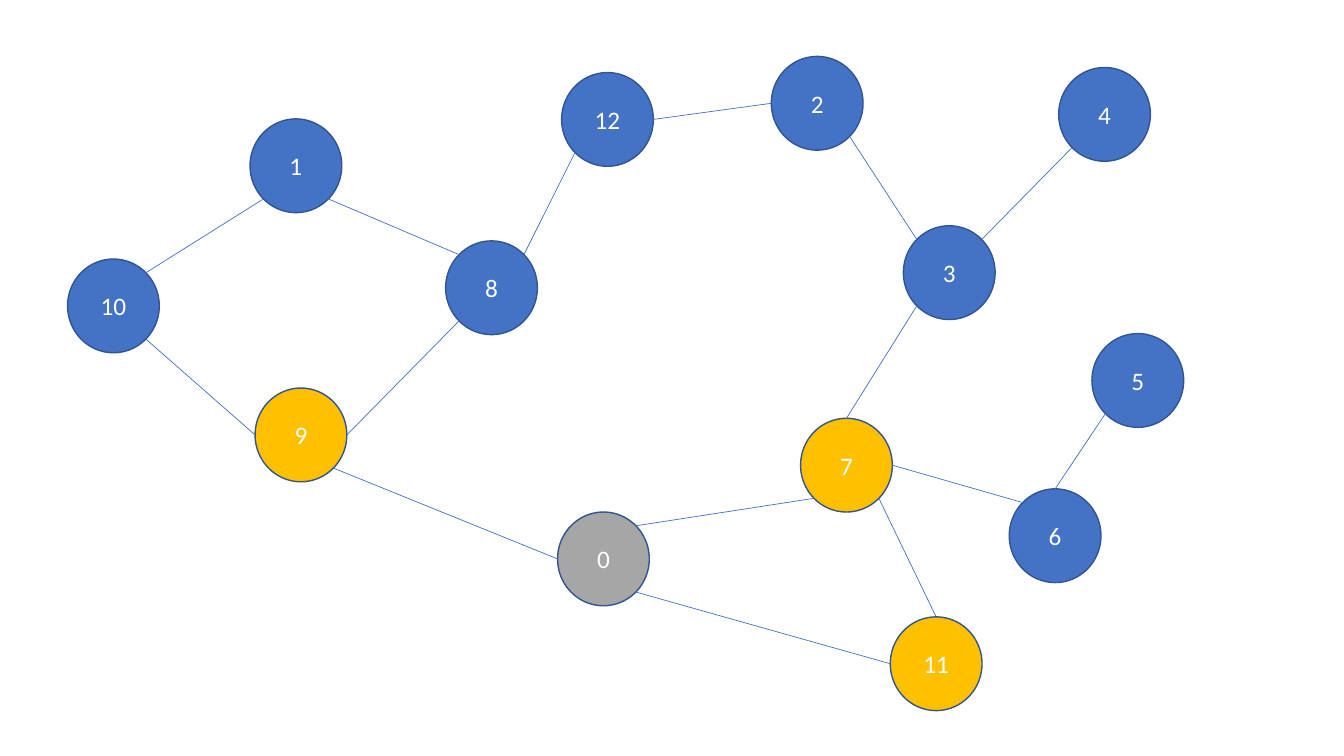
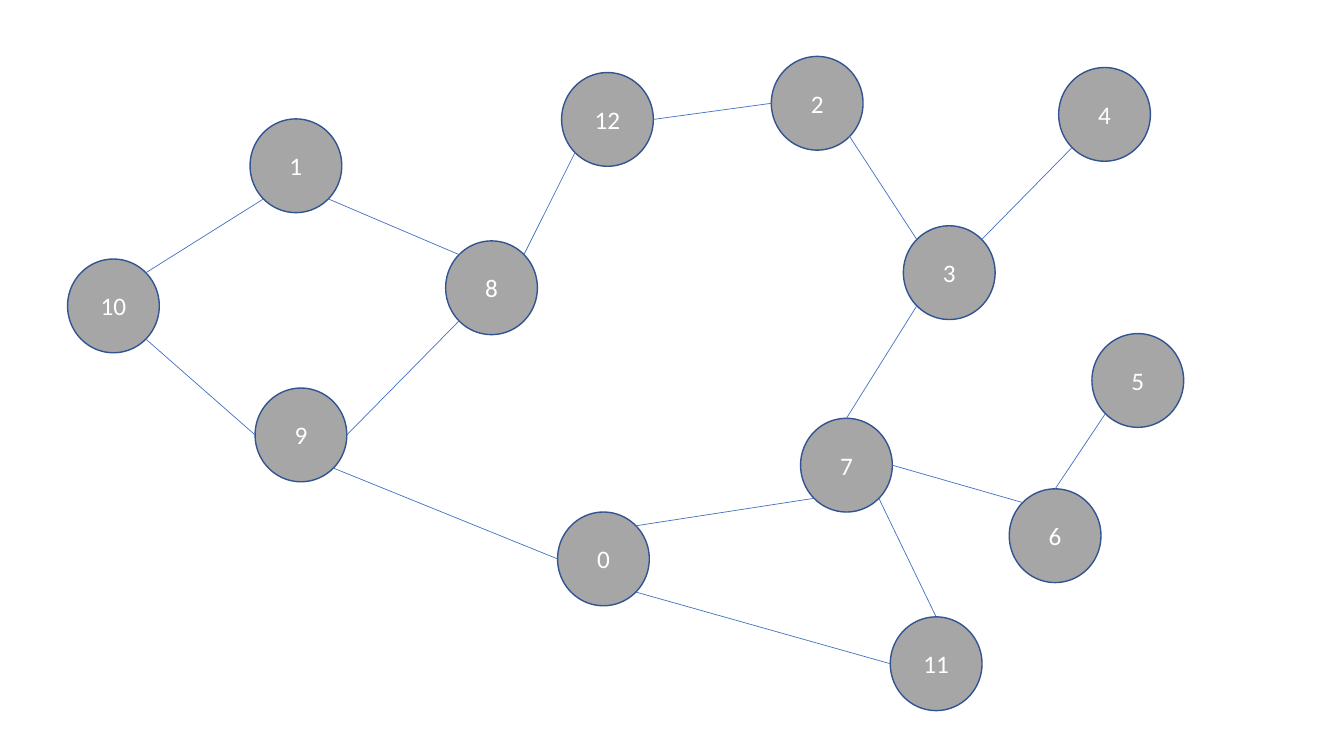
from math import cos, pi, sin

from lxml.etree import SubElement
from pptx import Presentation
from pptx.dml.color import RGBColor
from pptx.enum.shapes import MSO_CONNECTOR, MSO_SHAPE
from pptx.enum.text import MSO_ANCHOR, PP_ALIGN
from pptx.oxml.ns import qn
from pptx.util import Inches, Pt

COLORS = {"unvisited": "4472C4", "queued": "FFC000", "visited": "A6A6A6",
          "outline": "325491", "edge": "4472C4", "label": "FFFFFF"}
FONT = "Calibri"
NODE_W, NODE_H = 0.91, 0.93

NODES = {
    0: (5.53, 5.08), 1: (2.48, 1.18), 2: (7.65, 0.56), 3: (8.96, 2.24),
    4: (10.5, 0.67), 5: (10.83, 3.31), 6: (10.01, 4.85), 7: (7.94, 4.15),
    8: (4.42, 2.39), 9: (2.53, 3.85), 10: (0.67, 2.57), 11: (8.83, 6.12),
    12: (5.57, 0.72),
}
SITES = ["top", "top left", "left", "bottom left",
         "bottom", "bottom right", "right", "top right"]
EDGES = [
    (1, "bottom left", 10, "top right"),
    (9, "bottom right", 0, "left"),
    (9, "right", 8, "bottom left"),
    (10, "bottom right", 9, "left"),
    (4, "bottom left", 3, "top right"),
    (0, "top right", 7, "bottom left"),
    (7, "top", 3, "bottom left"),
    (1, "bottom right", 8, "top left"),
    (8, "top right", 12, "bottom left"),
    (12, "right", 2, "left"),
    (2, "bottom right", 3, "top left"),
    (7, "right", 6, "top left"),
    (11, "top", 7, "bottom right"),
    (6, "top", 5, "bottom left"),
    (0, "bottom right", 11, "left"),
]
STEPS = [
    {"visited": {0}, "queued": {7, 9, 11}},
    {"visited": set(NODES), "queued": set()},
]


def rgb(name):
    return RGBColor.from_string(COLORS[name])


def site_point(node, site):
    left, top = NODES[node]
    angle = SITES.index(site) * pi / 4
    return (Inches(left + NODE_W / 2 * (1 - sin(angle))),
            Inches(top + NODE_H / 2 * (1 - cos(angle))))


def add_node(s, node, state):
    left, top = NODES[node]
    sp = s.shapes.add_shape(MSO_SHAPE.OVAL, Inches(left), Inches(top),
                            Inches(NODE_W), Inches(NODE_H))
    sp.shadow.inherit = False
    sp.fill.solid()
    sp.fill.fore_color.rgb = rgb(state)
    sp.line.color.rgb = rgb("outline")
    sp.line.width = Pt(1)
    tf = sp.text_frame
    tf.vertical_anchor = MSO_ANCHOR.MIDDLE
    p = tf.paragraphs[0]
    p.text = str(node)
    p.alignment = PP_ALIGN.CENTER
    p.font.name = FONT
    p.font.size = Pt(18)
    p.font.color.rgb = rgb("label")
    return sp


def add_edge(s, ovals, start, start_site, end, end_site):
    edge = s.shapes.add_connector(MSO_CONNECTOR.STRAIGHT,
                                  *site_point(start, start_site),
                                  *site_point(end, end_site))
    edge.line.color.rgb = rgb("edge")
    edge.line.width = Pt(0.5)
    SubElement(edge._element.spPr, qn("a:effectLst"))
    glue = edge._element.find(".//" + qn("p:cNvCxnSpPr"))
    for tag, node, site in (("a:stCxn", start, start_site),
                            ("a:endCxn", end, end_site)):
        SubElement(glue, qn(tag), id=str(ovals[node].shape_id),
                   idx=str(SITES.index(site)))


def add_graph(prs, step):
    s = prs.slides.add_slide(prs.slide_layouts[6])
    ovals = {}
    for node in NODES:
        state = next((name for name, members in step.items()
                      if node in members), "unvisited")
        ovals[node] = add_node(s, node, state)
    for edge in EDGES:
        add_edge(s, ovals, *edge)


def main():
    prs = Presentation()
    prs.slide_width, prs.slide_height = Inches(13.33), Inches(7.5)
    for step in STEPS:
        add_graph(prs, step)
    prs.save("out.pptx")


if __name__ == "__main__":
    main()
